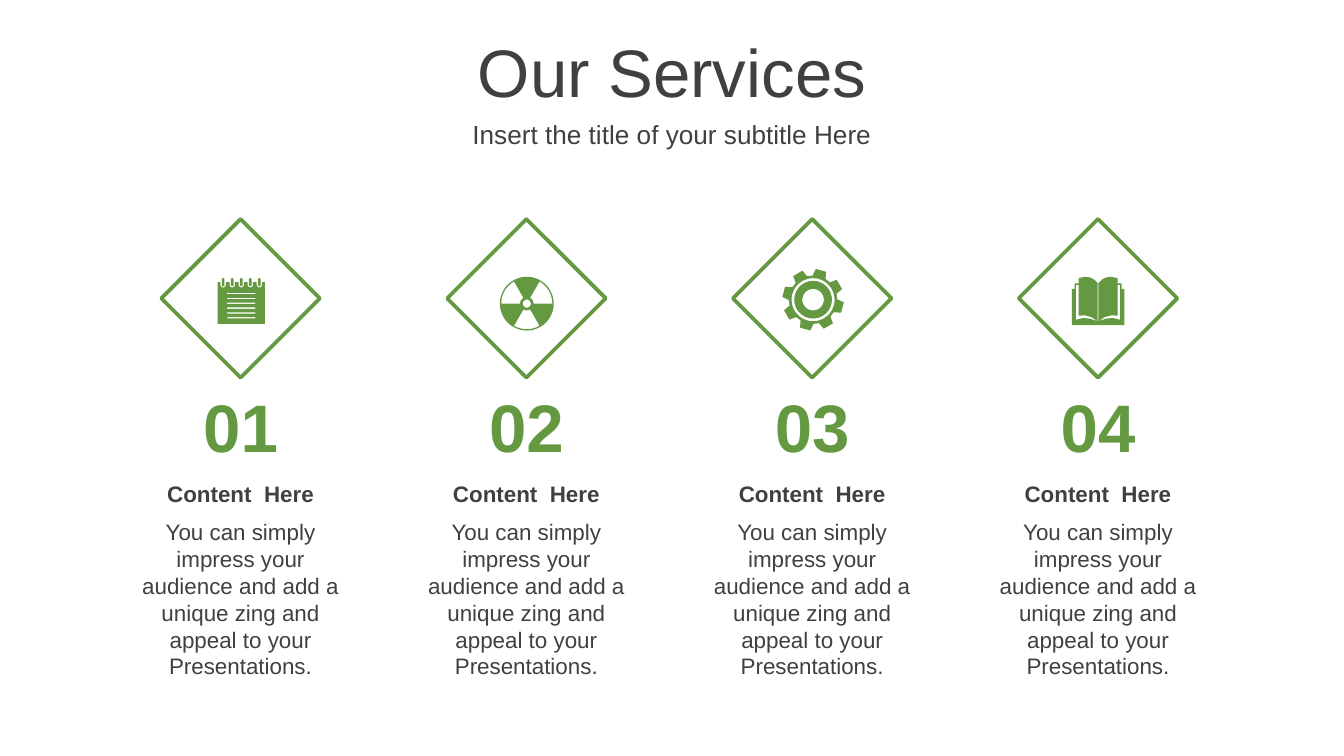
from dataclasses import dataclass
from math import cos, radians, sin

from pptx import Presentation
from pptx.dml.color import RGBColor
from pptx.enum import shapes, text
from pptx.util import Inches, Pt


@dataclass
class Theme:
    font: str = "Arial"
    green: RGBColor = RGBColor(0x64, 0x99, 0x41)
    dark: RGBColor = RGBColor(0x40, 0x40, 0x40)
    white: RGBColor = RGBColor(0xFF, 0xFF, 0xFF)
    title: int = 36
    subtitle: int = 14
    number: int = 36
    body: int = 12


theme = Theme()
deck = Presentation()
deck.slide_width, deck.slide_height = Inches(10), Inches(10 * 9 / 16)
page = deck.slides.add_slide(deck.slide_layouts[5])


def write(box, left, top, width, height, words, size, color, bold=False):
    """Place a box and fill it with one centred paragraph."""
    box.left, box.top = Inches(left), Inches(top)
    box.width, box.height = Inches(width), Inches(height)
    frame = box.text_frame
    frame.word_wrap = True
    frame.auto_size = text.MSO_AUTO_SIZE.NONE
    frame.vertical_anchor = text.MSO_ANCHOR.MIDDLE
    frame.text = words
    para = frame.paragraphs[0]
    para.alignment = text.PP_ALIGN.CENTER
    font = para.runs[0].font
    font.name, font.size, font.bold = theme.font, Pt(size), bold
    font.color.rgb = color


def arc(x, y, radius, start=0, end=360, step=6):
    """Points along a circle, angles in degrees clockwise from the right."""
    return [(x + radius * cos(radians(a)), y + radius * sin(radians(a)))
            for a in range(start, end + 1, step)]


# Title and subtitle
write(page.shapes.title, 0, 0.21, 10, 0.63, "Our Services", theme.title, theme.dark)
write(page.shapes.add_textbox(0, 0, 0, 0), 0, 0.84, 10, 0.31,
      "Insert the title of your subtitle Here", theme.subtitle, theme.dark)

# Four service columns
centers = [1.79 + 6.38 * i / 3 for i in range(4)]
description = ("You can simply impress your audience and add a unique zing "
               "and appeal to your Presentations.")
for index, center in enumerate(centers, start=1):
    diamond = page.shapes.add_shape(
        shapes.MSO_SHAPE.DIAMOND, Inches(center - 0.59), Inches(1.63),
        Inches(1.18), Inches(1.18))
    diamond.shadow.inherit = False
    diamond.fill.solid()
    diamond.fill.fore_color.rgb = theme.white
    diamond.line.color.rgb = theme.green
    diamond.line.width = Pt(2)
    rows = [
        (0.94, 2.81, 0.71, f"{index:02}", theme.number, theme.green, True),
        (1.69, 3.8, 1.31, description, theme.body, theme.dark, False),
        (1.71, 3.52, 0.3, "Content  Here", theme.body, theme.dark, True),
    ]
    for width, top, height, words, size, color, bold in rows:
        write(page.shapes.add_textbox(0, 0, 0, 0), center - width / 2, top,
              width, height, words, size, color, bold)

# Notebook: notched sheet, text lines as holes, binding rings
rings = [1.66 + 0.27 * i / 4 for i in range(5)]
sheet = [(1.62, 2.41), (1.62, 2.1)]
for ring in rings:
    sheet += [(ring - 0.02, 2.1)]
    sheet += arc(ring, 2.12, 0.02, 0, 180, 30)[::-1]
    sheet += [(ring + 0.02, 2.1)]
sheet += [(1.97, 2.1), (1.97, 2.41)]
notebook = [sheet]
for row in range(6):
    top = 2.18 + 0.18 * row / 5
    notebook.append([(1.69, top), (1.9, top), (1.9, top + 0.01), (1.69, top + 0.01)])
for ring in rings:
    notebook.append(arc(ring, 2.12, 0.01, 0, 180, 30) + arc(ring, 2.08, 0.01, 180, 360, 30))

# Radiation sign: disc with three sectors and a centre cut out
x, y = 3.92, 2.26
radiation = [arc(x, y, 0.2), arc(x, y, 0.03)]
for start in (60, 180, 300):
    radiation.append(arc(x, y, 0.19, start, start + 60)
                     + arc(x, y, 0.05, start, start + 60)[::-1])

# Gear: eight teeth around three circles
x, y = 6.05, 2.23
teeth = []
for turn in range(8):
    middle = 45 * turn - 30
    for radius, offset in ((0.18, -16), (0.23, -10), (0.23, 10), (0.18, 16)):
        teeth += arc(x, y, radius, middle + offset, middle + offset)
gear = [teeth] + [arc(x, y, radius) for radius in (0.16, 0.14, 0.08)]

# Book: mirrored cover, page edges and spine as holes, in hundredths
spine = 8.17
cover = [(0, 211), (3, 208), (6, 206.5), (9.5, 206), (14.5, 207), (14.5, 211),
         (17.5, 211), (17.5, 215), (19.5, 215), (19.5, 242)]
edge = [(16.5, 212), (14.5, 212), (14.5, 235), (10, 234.7), (5, 236),
        (0.4, 239), (6, 237.2), (11, 236.7), (16.5, 238)]
slit = [(0.3, 211), (0.3, 239)]
book = [[(spine + dx / 100, y / 100) for dx, y in cover]
        + [(spine - dx / 100, y / 100) for dx, y in cover[:0:-1]]]
for side in (-1, 1):
    book.append([(spine + side * dx / 100, y / 100) for dx, y in edge])
book.append([(spine + dx / 100, y / 100) for dx, y in slit]
            + [(spine - dx / 100, y / 100) for dx, y in slit[::-1]])

# Draw the icons, on a grid of a thousand units to the inch
for icon in (book, notebook, radiation, gear):
    outlines = [[(x * 1000, y * 1000) for x, y in contour] for contour in icon]
    builder = page.shapes.build_freeform(*outlines[0][0], scale=Inches(1) / 1000)
    builder.add_line_segments(outlines[0][1:], close=True)
    for outline in outlines[1:]:
        builder.move_to(*outline[0])
        builder.add_line_segments(outline[1:], close=True)
    drawing = builder.convert_to_shape()
    drawing.shadow.inherit = False
    drawing.fill.solid()
    drawing.fill.fore_color.rgb = theme.green
    drawing.line.fill.background()

deck.save("out.pptx")
